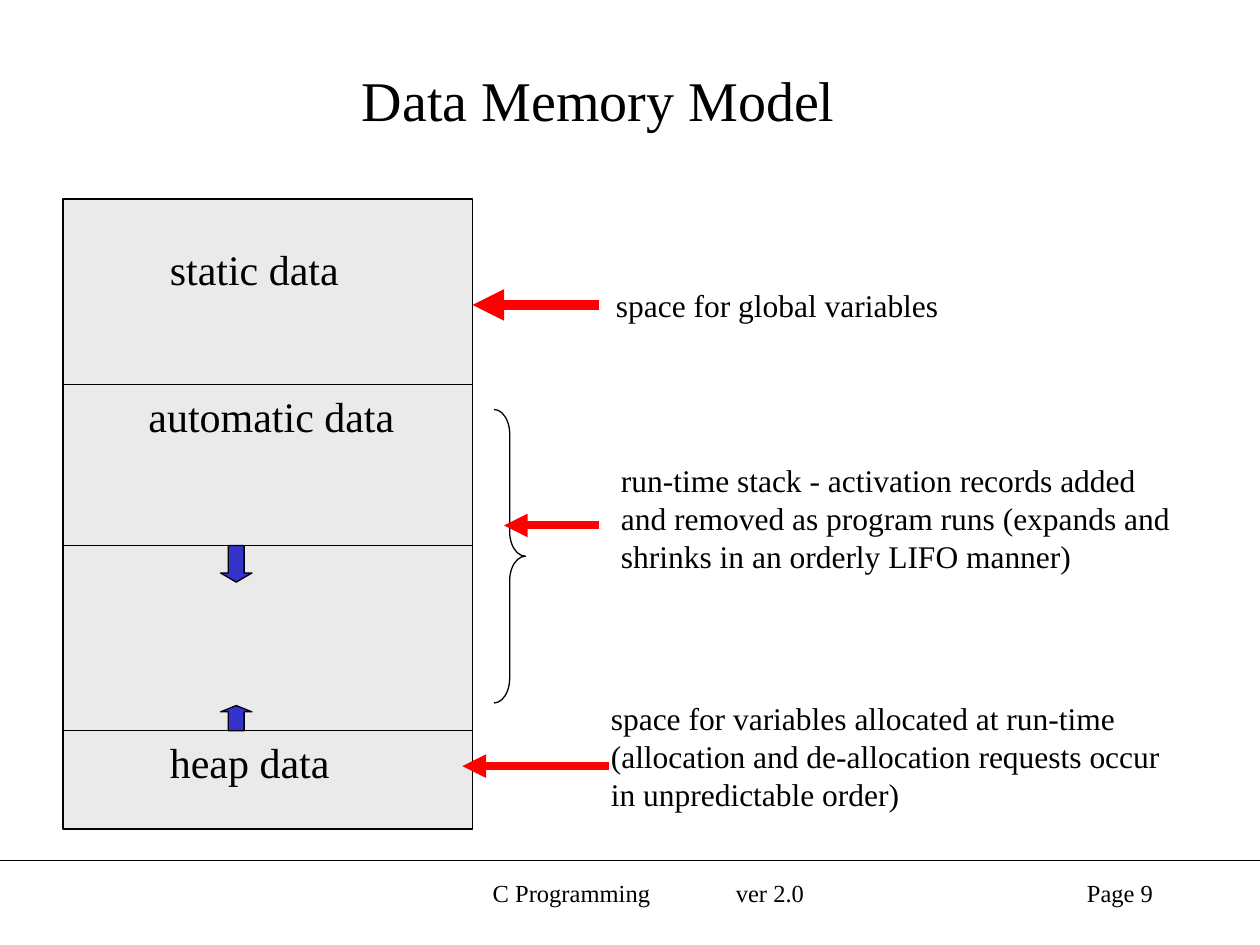
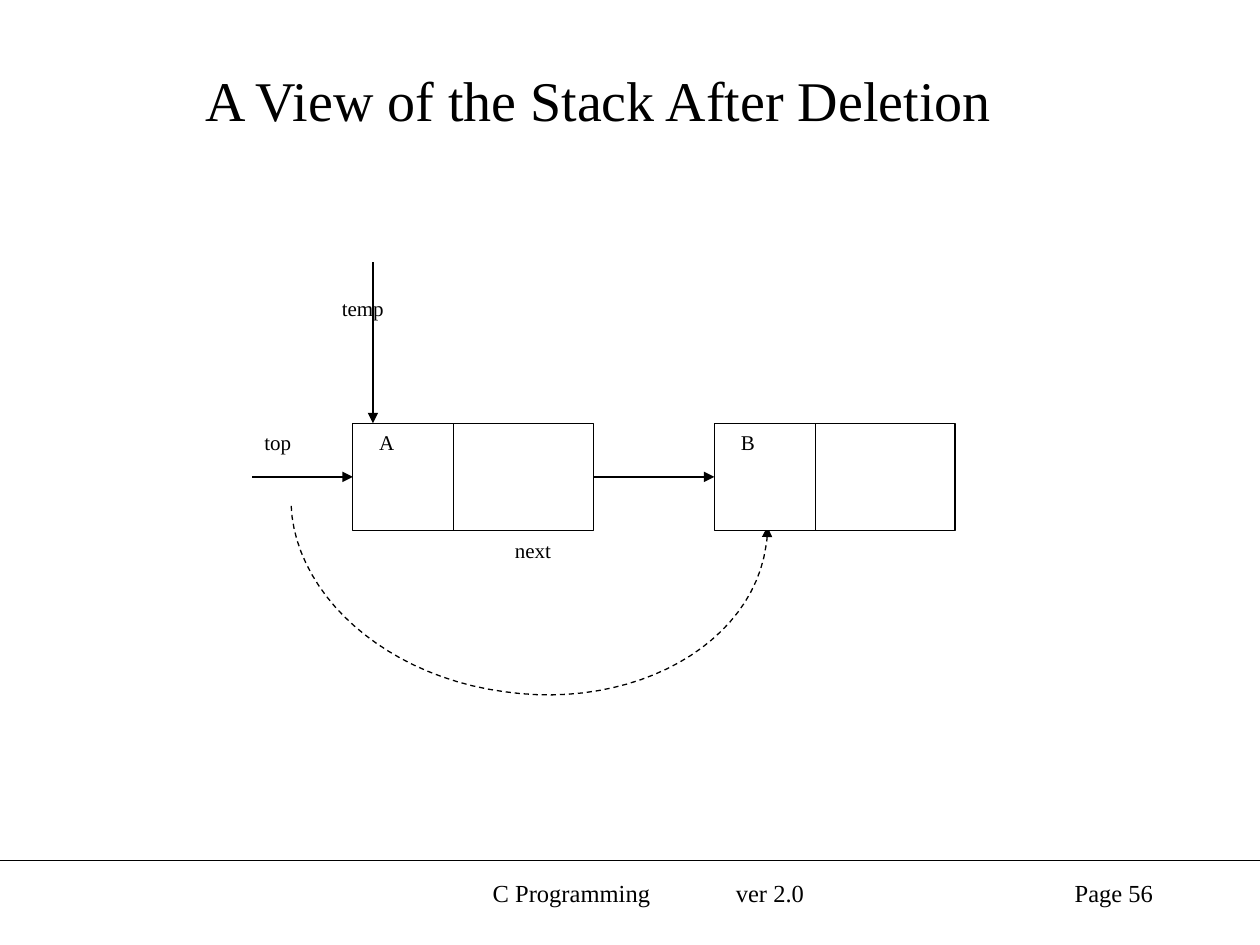
from lxml import etree
from pptx import Presentation
from pptx import util as u
from pptx.dml.color import RGBColor
from pptx.enum import dml, shapes, text
from pptx.oxml.ns import qn

COLORS = {"ink": "000000", "paper": "FFFFFF", "memory": "EAEAEA",
          "growth": "3333CC", "pointer": "FF0000"}
FONT = "Times New Roman"
ALIGN = text.PP_ALIGN
SHAPE = shapes.MSO_SHAPE

TITLE_BOX = (0.5, 0.25, 8.5, 1.08)
COURSE_BOX = (3.42, 6.92, 3.42, 0.5)
PAGE_BOX = (7.17, 6.92, 2.08, 0.5)
COURSE = "C Programming\tver 2.0"
COURSE_INSET, VERSION_TAB = 0.49, 1.93
RULE_Y = 6.83

MEMORY = (0.5, 1.58, 3.25, 5)
MEMORY_DIVIDERS = (3.05, 4.33, 5.8)
REGIONS = [
    ("static data", (1.25, 1.88, 1.54, 0.5)),
    ("automatic data", (1.08, 3.05, 2.15, 0.5)),
    ("heap data", (1.25, 5.8, 1.47, 0.5)),
]
GROWTH_ARROWS = [
    (SHAPE.DOWN_ARROW, (1.75, 4.33, 0.25, 0.29), (0.5, 0.29)),
    (SHAPE.UP_ARROW, (1.75, 5.6, 0.25, 0.2), (0.5, 0.25)),
]
STACK_BRACE = (3.92, 3.25, 0.25, 2.33)
NOTES = [
    ("run-time stack - activation records added and removed as program runs "
     "(expands and shrinks in an orderly LIFO manner)", (4.83, 3.61, 4.67, 1), True),
    ("space for global variables", (4.79, 2.22, 2.76, 0.4), False),
    ("space for variables allocated at run-time (allocation and de-allocation "
     "requests occur in unpredictable order)", (4.75, 5.5, 4.67, 1), True),
]
POINTERS = [
    ((4.75, 2.42), (3.75, 2.42), 6),
    ((4.75, 4.17), (4, 4.17), 4.5),
    ((4.83, 6.08), (3.67, 6.08), 4.5),
]

STACK_LABELS = [
    ("next", (3.75, 4.22, 0.96, 0.43), ALIGN.CENTER),
    ("top", (2, 3.36, 0.64, 0.64), ALIGN.LEFT),
    ("temp", (2.48, 2.3, 0.8, 0.64), ALIGN.CENTER),
]
NODES = [("A", 2.8), ("B", 5.67)]
NODE_TOP, NODE_WIDTH, NODE_HEIGHT, DATA_WIDTH = 3.36, 1.91, 0.85, 0.8
NEW_TOP_CURVES = [
    ((6.09, 4.18), (6.09, 4.23), (6.09, 4.28), (6.08, 4.33)),
    ((6.08, 4.33), (5.97, 5.11), (5.04, 5.64), (4, 5.49)),
    ((4, 5.49), (2.96, 5.35), (2.21, 4.59), (2.32, 3.81)),
]
CURVE_STEPS = 24


def inches(values):
    return [u.Inches(value) for value in values]


def rgb(name):
    return RGBColor.from_string(COLORS[name])


def write(shape, words, size=18, align=ALIGN.LEFT, anchor=text.MSO_ANCHOR.TOP,
          wrap=True, inset=0.1, tab=None):
    frame = shape.text_frame
    frame.word_wrap = wrap
    frame.vertical_anchor = anchor
    frame.margin_left, frame.margin_right = inches((inset, 0.1))
    frame.margin_top = frame.margin_bottom = u.Inches(0.05)
    paragraph = frame.paragraphs[0]
    paragraph.alignment = align
    if tab:
        tabs = etree.SubElement(paragraph._p.get_or_add_pPr(), qn("a:tabLst"))
        etree.SubElement(tabs, qn("a:tab"), pos=str(u.Inches(tab)), algn="l")
    run = paragraph.add_run()
    run.text = words
    run.font.name, run.font.size = FONT, u.Pt(size)
    run.font.color.rgb = rgb("ink")


def add_text(slide, words, box, **style):
    write(slide.shapes.add_textbox(*inches(box)), words, **style)


def paint(shape, fill=None, line="ink"):
    shape.shadow.inherit = False
    if fill:
        shape.fill.solid()
        shape.fill.fore_color.rgb = rgb(fill)
    else:
        shape.fill.background()
    if line:
        shape.line.color.rgb = rgb(line)
        shape.line.width = u.Pt(0.75)
    else:
        shape.line.fill.background()


def add_shape(slide, kind, box, fill=None, line="ink", adjustments=()):
    shape = slide.shapes.add_shape(kind, *inches(box))
    for index, value in enumerate(adjustments):
        shape.adjustments[index] = value
    paint(shape, fill, line)
    return shape


def add_arrowhead(shape, end):
    etree.SubElement(shape.line._get_or_add_ln(), qn(f"a:{end}"), type="triangle")


def add_line(slide, start, finish, color="ink", width=0.75, arrow=False):
    line = slide.shapes.add_connector(shapes.MSO_CONNECTOR.STRAIGHT,
                                      *inches((*start, *finish)))
    line.line.color.rgb = rgb(color)
    line.line.width = u.Pt(width)
    if arrow:
        add_arrowhead(line, "tailEnd")
    etree.SubElement(line._element.spPr, qn("a:effectLst"))
    return line


def curve_points(curve):
    for step in range(1, CURVE_STEPS + 1):
        t = step / CURVE_STEPS
        weights = ((1 - t) ** 3, 3 * t * (1 - t) ** 2, 3 * t * t * (1 - t), t ** 3)
        yield inches(sum(weight * point[axis] for weight, point in zip(weights, curve))
                     for axis in (0, 1))


def add_slide(presentation, title, page):
    slide = presentation.slides.add_slide(presentation.slide_layouts[6])
    add_line(slide, (0, RULE_Y), (10, RULE_Y))
    add_text(slide, COURSE, COURSE_BOX, size=14, inset=COURSE_INSET, tab=VERSION_TAB)
    add_text(slide, f"Page {page}", PAGE_BOX, size=14, align=ALIGN.RIGHT)
    add_text(slide, title, TITLE_BOX, size=32, align=ALIGN.CENTER,
             anchor=text.MSO_ANCHOR.MIDDLE)
    return slide


def build_memory_model(presentation):
    slide = add_slide(presentation, "Data Memory Model", 9)
    add_shape(slide, SHAPE.RECTANGLE, MEMORY, "memory")
    for words, box in REGIONS:
        add_text(slide, words, box, size=24, wrap=False)
    left, right = MEMORY[0], MEMORY[0] + MEMORY[2]
    for y in MEMORY_DIVIDERS:
        add_line(slide, (left, y), (right, y))
    for kind, box, adjustments in GROWTH_ARROWS:
        add_shape(slide, kind, box, "growth", adjustments=adjustments)
    for words, box, wrap in NOTES:
        add_text(slide, words, box, wrap=wrap)
    add_shape(slide, SHAPE.RIGHT_BRACE, STACK_BRACE, adjustments=(0.78, 0.5))
    for start, finish, width in POINTERS:
        add_line(slide, start, finish, "pointer", width, arrow=True)


def build_stack(presentation):
    slide = add_slide(presentation, "A View of the Stack After Deletion", 56)
    builder = slide.shapes.build_freeform(*inches(NEW_TOP_CURVES[0][0]))
    for curve in NEW_TOP_CURVES:
        builder.add_line_segments(list(curve_points(curve)), close=False)
    new_top = builder.convert_to_shape()
    paint(new_top)
    new_top.line.dash_style = dml.MSO_LINE.DASH
    add_arrowhead(new_top, "headEnd")

    for words, box, align in STACK_LABELS:
        label = add_shape(slide, SHAPE.RECTANGLE, box, "paper", line=None)
        write(label, words, size=12, align=align)
    nodes = []
    for name, left in NODES:
        node = add_shape(slide, SHAPE.RECTANGLE,
                         (left, NODE_TOP, NODE_WIDTH, NODE_HEIGHT), "paper")
        write(node, name, size=12, inset=0.21)
        nodes.append(node)
        divider = left + DATA_WIDTH
        add_line(slide, (divider, NODE_TOP), (divider, NODE_TOP + NODE_HEIGHT))

    first, second = nodes
    middle = NODE_TOP + NODE_HEIGHT / 2
    first_left, second_left = (left for name, left in NODES)
    add_line(slide, (2.96, 2.08), (2.96, NODE_TOP), arrow=True)
    top = add_line(slide, (2, middle), (first_left, middle), arrow=True)
    top.end_connect(first, 1)
    following = add_line(slide, (first_left + NODE_WIDTH, middle),
                         (second_left, middle), arrow=True)
    following.begin_connect(first, 3)
    following.end_connect(second, 1)


def main():
    presentation = Presentation()
    presentation.slide_width, presentation.slide_height = inches((10, 7.5))
    build_memory_model(presentation)
    build_stack(presentation)
    presentation.save("out.pptx")


if __name__ == "__main__":
    main()
